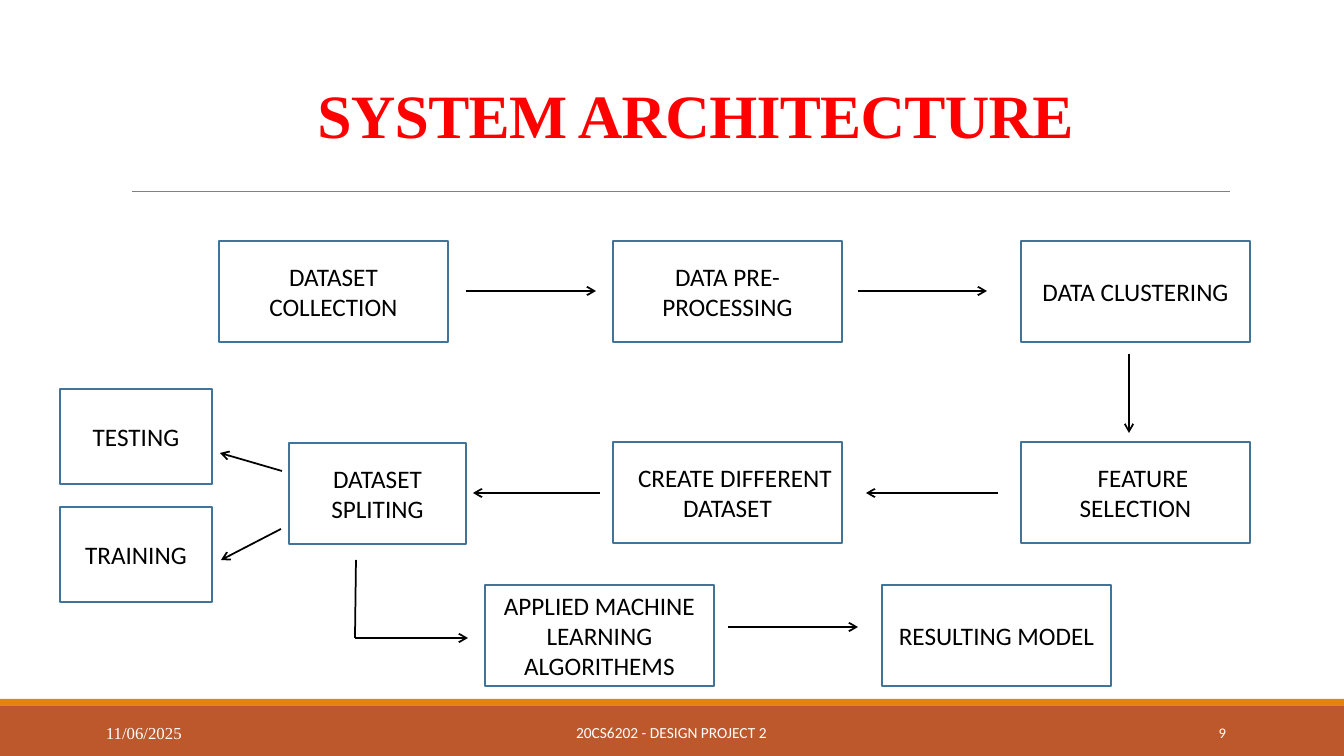
import pptx
import pptx.util
import pptx.dml.color
import pptx.enum.shapes
import pptx.enum.text
import pptx.oxml.ns
import lxml.etree
from dataclasses import dataclass

Align = pptx.enum.text.PP_ALIGN
Anchor = pptx.enum.text.MSO_ANCHOR


@dataclass(frozen=True)
class Theme:
    """Colours, fonts and type sizes of the deck."""
    white: str = "FFFFFF"
    black: str = "000000"
    red: str = "FF0000"
    rust: str = "BD582C"
    amber: str = "E48312"
    grey: str = "808080"
    blue: str = "40749B"
    sans: str = "Calibri"
    serif: str = "Times New Roman"
    head: float = 44
    body: float = 18
    date: float = 12
    foot: float = 11
    page: float = 10.5
    edge: float = 1.25
    hair: float = 0.5


THEME = Theme()


def px(num):
    """Turn px into EMU."""
    return pptx.util.Emu(round(num * 914400 / 100.8))


def rgb(code):
    """Turn a hex code into a colour."""
    return pptx.dml.color.RGBColor.from_string(code)


def write(shape, text, size, tint, face=THEME.sans, align=Align.CENTER, bold=False):
    """Set and format the one paragraph of a shape, and return it."""
    frame = shape.text_frame
    frame.word_wrap = True
    frame.vertical_anchor = Anchor.MIDDLE
    para = frame.paragraphs[0]
    para.text = text
    para.alignment = align
    for run in para.runs:
        run.font.size = pptx.util.Pt(size)
        run.font.name = face
        run.font.bold = bold
        run.font.color.rgb = rgb(tint)
    return para


def label(slide, box, *args, **more):
    """Add a text box and return its paragraph."""
    return write(slide.shapes.add_textbox(*map(px, box)), *args, **more)


def block(slide, box, fill, edge=None):
    """Add a flat rectangle."""
    kind = pptx.enum.shapes.MSO_SHAPE.RECTANGLE
    shape = slide.shapes.add_shape(kind, *map(px, box))
    shape.shadow.inherit = False
    shape.fill.solid()
    shape.fill.fore_color.rgb = rgb(fill)
    if edge:
        shape.line.color.rgb = rgb(edge)
        shape.line.width = pptx.util.Pt(THEME.edge)
    else:
        shape.line.fill.background()
    return shape


def link(slide, ends, tint=THEME.black, width=THEME.edge, arrow=True):
    """Add a straight line, with an arrowhead if asked."""
    kind = pptx.enum.shapes.MSO_CONNECTOR.STRAIGHT
    line = slide.shapes.add_connector(kind, *map(px, ends))
    line.line.color.rgb = rgb(tint)
    line.line.width = pptx.util.Pt(width)
    qn = pptx.oxml.ns.qn
    if arrow:
        stroke = line.line._get_or_add_ln()
        lxml.etree.SubElement(stroke, qn("a:tailEnd"), type="arrow")
    lxml.etree.SubElement(line._element.spPr, qn("a:effectLst"))


def header(slide, box):
    """Place the title and the rule under it."""
    left, top, width, height = box
    para = label(slide, box, "SYSTEM ARCHITECTURE", THEME.head, THEME.red,
                 face=THEME.serif, bold=True)
    para.line_spacing = 0.85
    para.runs[0].font._element.set("spc", "-50")
    rule = top + height + 3
    link(slide, (left - 9, rule, left + width - 20, rule),
         THEME.grey, THEME.hair, arrow=False)


def footer(slide, box):
    """Place the bands, date, course and page number."""
    left, top, width, height = box
    block(slide, (left, top + 7, width, height - 7), THEME.rust)
    block(slide, (left, top, width, 7), THEME.amber)
    label(slide, (left + 406, top + 13, 531, 41), "20CS6202 - DESIGN PROJECT 2",
          THEME.foot, THEME.white)
    label(slide, (left + 1092, top + 13, 144, 41), "9",
          THEME.page, THEME.white, align=Align.RIGHT)
    label(slide, (left + 96, top + 19, 261, 30), "11/06/2025",
          THEME.date, THEME.white, face=THEME.serif, align=Align.LEFT)


def flow(slide, box):
    """Place the steps of the pipeline and the arrows between them."""
    left, top = box[:2]
    first, mid, last = 159, 553, 961
    wide, tall = 229, 101
    steps = [
        ("DATASET COLLECTION", first, 0, wide, tall, 0),
        ("DATA PRE-PROCESSING", mid, 0, wide, tall, 0),
        ("DATA CLUSTERING", last, 0, wide, tall, 0),
        ("FEATURE SELECTION", last, 201, wide, tall, 15),
        ("CREATE DIFFERENT DATASET", mid, 201, wide, tall, 15),
        ("DATASET SPLITING", 229, 202, 177, tall, 0),
        ("TESTING", 0, 148, 152, 95, 0),
        ("TRAINING", 0, 266, 152, 95, 0),
        ("APPLIED MACHINE LEARNING ALGORITHEMS", 425, 344, wide, tall, 0),
        ("RESULTING MODEL", 822, 344, wide, tall, 0),
    ]
    for text, x, y, width, height, indent in steps:
        shape = block(slide, (left + x, top + y, width, height),
                      THEME.white, THEME.blue)
        para = write(shape, text, THEME.body, THEME.black)
        if indent:
            para._p.get_or_add_pPr().set("indent", str(px(indent)))
    arrows = [
        (406, 50, 536, 50), (798, 50, 927, 50), (1069, 113, 1069, 192),
        (938, 252, 806, 252), (540, 252, 413, 252), (222, 230, 160, 212),
        (221, 288, 161, 319), (295, 397, 408, 397), (668, 386, 798, 386),
    ]
    stem = (296, 319, 295, 397)
    for ends in arrows + [stem]:
        x1, y1, x2, y2 = ends
        link(slide, (left + x1, top + y1, left + x2, top + y2),
             arrow=ends != stem)


def main():
    """Build the slide and save it."""
    deck = pptx.Presentation()
    deck.slide_width, deck.slide_height = px(1344), px(756)
    slide = deck.slides.add_slide(deck.slide_layouts[6])
    slide.background.fill.solid()
    slide.background.fill.fore_color.rgb = rgb(THEME.white)
    footer(slide, (0, 699, 1344, 57))
    header(slide, (141, 51, 1109, 137))
    flow(slide, (60, 241, 1190, 445))
    deck.save("out.pptx")


if __name__ == "__main__":
    main()
